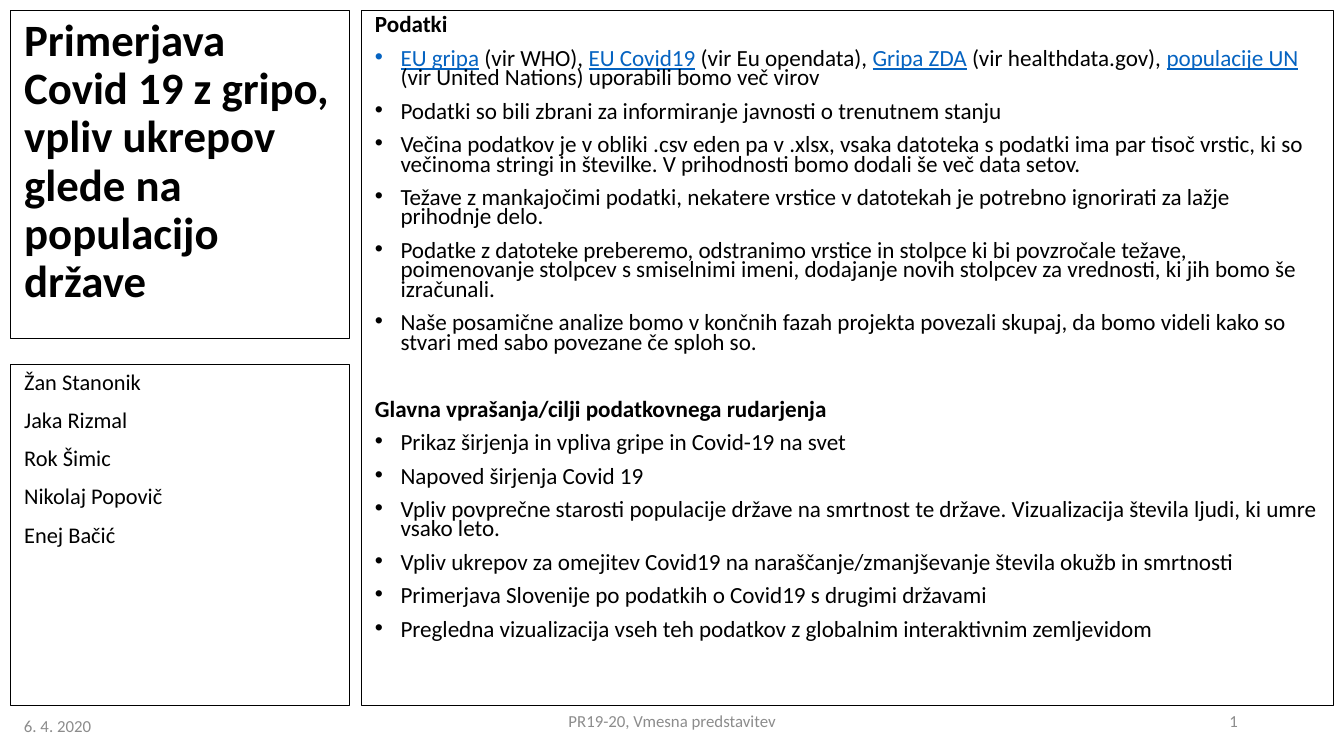
from lxml import etree
from pptx import Presentation
from pptx.dml.color import RGBColor
from pptx.enum.text import MSO_ANCHOR, MSO_AUTO_SIZE, PP_ALIGN
from pptx.oxml.ns import qn
from pptx.util import Inches, Pt

TOP, MIDDLE = MSO_ANCHOR.TOP, MSO_ANCHOR.MIDDLE
LEFT, CENTER, RIGHT = PP_ALIGN.LEFT, PP_ALIGN.CENTER, PP_ALIGN.RIGHT
NO_FIT = MSO_AUTO_SIZE.NONE
COLORS = {"text": "000000", "link": "0563C1", "footer": "8C8C8C"}
CONTENT_WITH_CAPTION = 7
HANG = 0.19

SOURCES = [("EU gripa", "link"), (" (vir WHO), ", "text"),
           ("EU Covid19", "link"), (" (vir Eu opendata), ", "text"),
           ("Gripa ZDA", "link"), (" (vir healthdata.gov), ", "text"),
           ("populacije UN", "link"),
           (" (vir United Nations) uporabili bomo več virov", "text")]
SECTIONS = [
    ("Podatki", 7.5, [
        SOURCES,
        "Podatki so bili zbrani za informiranje javnosti o trenutnem stanju",
        "Večina podatkov je v obliki .csv eden pa v .xlsx, vsaka datoteka s podatki ima "
        "par tisoč vrstic, ki so večinoma stringi in številke. V prihodnosti bomo dodali "
        "še več data setov.",
        "Težave z mankajočimi podatki, nekatere vrstice v datotekah je potrebno "
        "ignorirati za lažje prihodnje delo.",
        "Podatke z datoteke preberemo, odstranimo vrstice in stolpce ki bi povzročale "
        "težave, poimenovanje stolpcev s smiselnimi imeni, dodajanje novih stolpcev za "
        "vrednosti, ki jih bomo še izračunali.",
        "Naše posamične analize bomo v končnih fazah projekta povezali skupaj, da bomo "
        "videli kako so stvari med sabo povezane če sploh so.",
    ]),
    ("Glavna vprašanja/cilji podatkovnega rudarjenja", 25.5, [
        "Prikaz širjenja in vpliva gripe in Covid-19 na svet",
        "Napoved širjenja Covid 19",
        "Vpliv povprečne starosti populacije države na smrtnost te države. "
        "Vizualizacija števila ljudi, ki umre vsako leto.",
        "Vpliv ukrepov za omejitev Covid19 na naraščanje/zmanjševanje števila okužb in "
        "smrtnosti",
        "Primerjava Slovenije po podatkih o Covid19 s drugimi državami",
        "Pregledna vizualizacija vseh teh podatkov z globalnim interaktivnim zemljevidom",
    ]),
]
AUTHORS = ["Žan Stanonik", "Jaka Rizmal", "Rok Šimic", "Nikolaj Popovič", "Enej Bačić"]
FOOTERS = [("6. 4. 2020", (0.08, 5.25, 4.11, 0.3), LEFT),
           ("PR19-20, Vmesna predstavitev", (3.31, 5.21, 3.38, 0.3), CENTER),
           ("1", (7.06, 5.21, 2.25, 0.3), RIGHT)]


class Poster:
    """Holds the text style and the current slide."""

    def __init__(self, slide, font="Calibri"):
        self.slide = slide
        self.font = font

    def panel(self, index, box):
        """Outline and place a template placeholder; return its text frame."""
        holder = self.slide.placeholders[index]
        holder.left, holder.top, holder.width, holder.height = map(Inches, box)
        holder.line.color.rgb = RGBColor.from_string(COLORS["text"])
        holder.line.width = Pt(0.75)
        return self.prepare(holder.text_frame, TOP)

    def prepare(self, frame, anchor):
        """Set wrapping, anchor and fixed size of a text frame."""
        frame.word_wrap = True
        frame.auto_size = NO_FIT
        frame.vertical_anchor = anchor
        return frame

    def paragraph(self, frame, content, size, color="text", bold=False,
                  spacing=1.0, before=0, align=LEFT, bullet=False):
        """Add a paragraph of one text or of (text, colour) runs."""
        first = frame.paragraphs[0]
        line = frame.add_paragraph() if first.runs else first
        line.alignment = align
        line.line_spacing = spacing
        line.space_before, line.space_after = Pt(before), Pt(0)
        self.marker(line, bullet)
        runs = [(content, color)] if isinstance(content, str) else content
        for text, shade in runs:
            run = line.add_run()
            run.text = text
            run.font.name, run.font.size, run.font.bold = self.font, Pt(size), bold
            run.font.color.rgb = RGBColor.from_string(COLORS[shade])
            if shade == "link":
                run.font.underline = True

    def marker(self, line, bullet):
        """Give a paragraph a hanging bullet, or none."""
        props = line._p.get_or_add_pPr()
        hang = Inches(HANG) if bullet else 0
        props.set("marL", str(hang))
        props.set("indent", str(-hang))
        if bullet:
            etree.SubElement(props, qn("a:buFont")).set("typeface", "Arial")
            etree.SubElement(props, qn("a:buChar")).set("char", "•")
        else:
            etree.SubElement(props, qn("a:buNone"))

    def footer(self, text, box, align):
        """Add a small grey text below the panels."""
        frame = self.slide.shapes.add_textbox(*map(Inches, box)).text_frame
        self.paragraph(self.prepare(frame, MIDDLE), text, 9, "footer", align=align)


def main():
    """Build and save the slide."""
    deck = Presentation()
    deck.slide_width = Inches(10)
    deck.slide_height = Inches(10) * 9 // 16
    poster = Poster(deck.slides.add_slide(deck.slide_layouts[CONTENT_WITH_CAPTION]))

    title = poster.panel(0, (0.08, 0.08, 2.52, 2.44))
    poster.paragraph(title, "Primerjava Covid 19 z gripo, vpliv ukrepov glede na "
                     "populacijo države", 24, bold=True, spacing=0.9)

    plan = poster.panel(1, (2.69, 0.08, 7.23, 5.17))
    for heading, before, points in SECTIONS:
        poster.paragraph(plan, heading, 12.4, bold=True, spacing=0.7, before=before)
        for point in points:
            poster.paragraph(plan, point, 12.4, spacing=0.7, before=7.5, bullet=True)

    team = poster.panel(2, (0.08, 2.71, 2.52, 2.54))
    for author in AUTHORS:
        poster.paragraph(team, author, 12, spacing=0.9, before=7.5)

    for text, box, align in FOOTERS:
        poster.footer(text, box, align)
    deck.save("out.pptx")


main()
